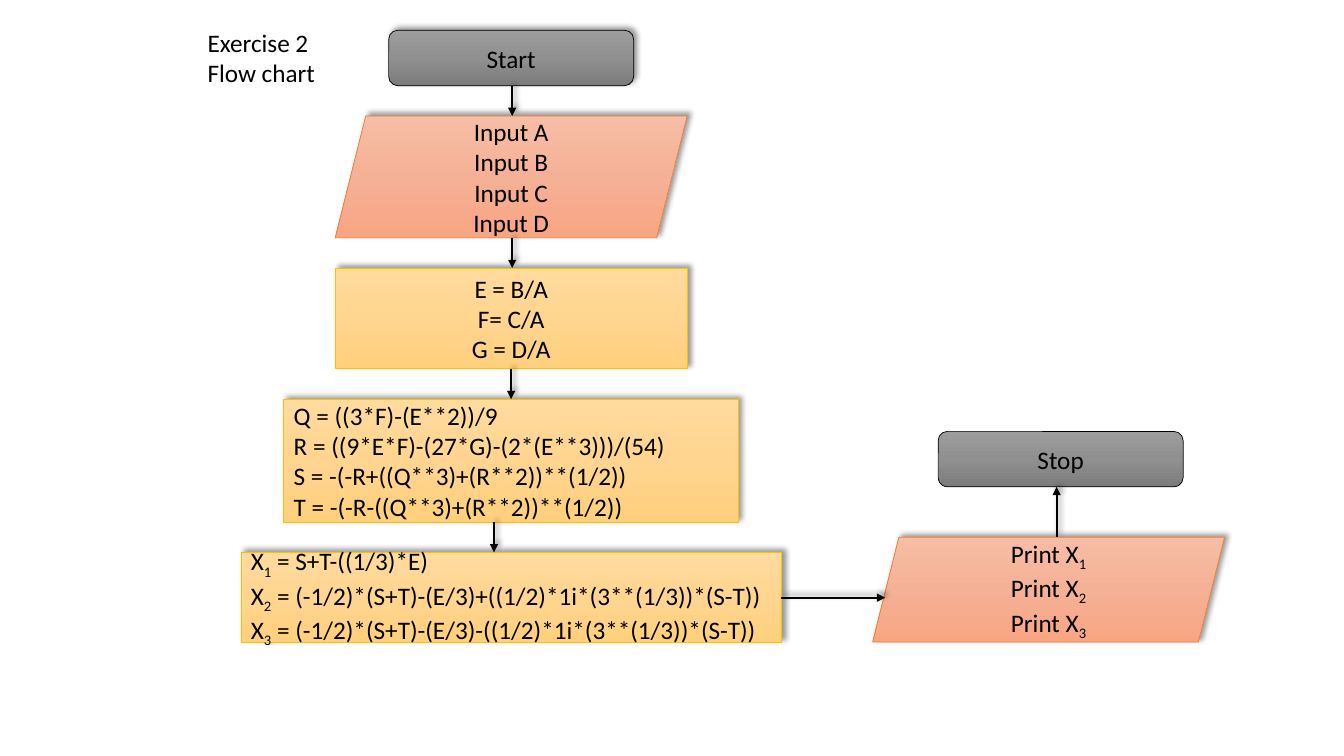
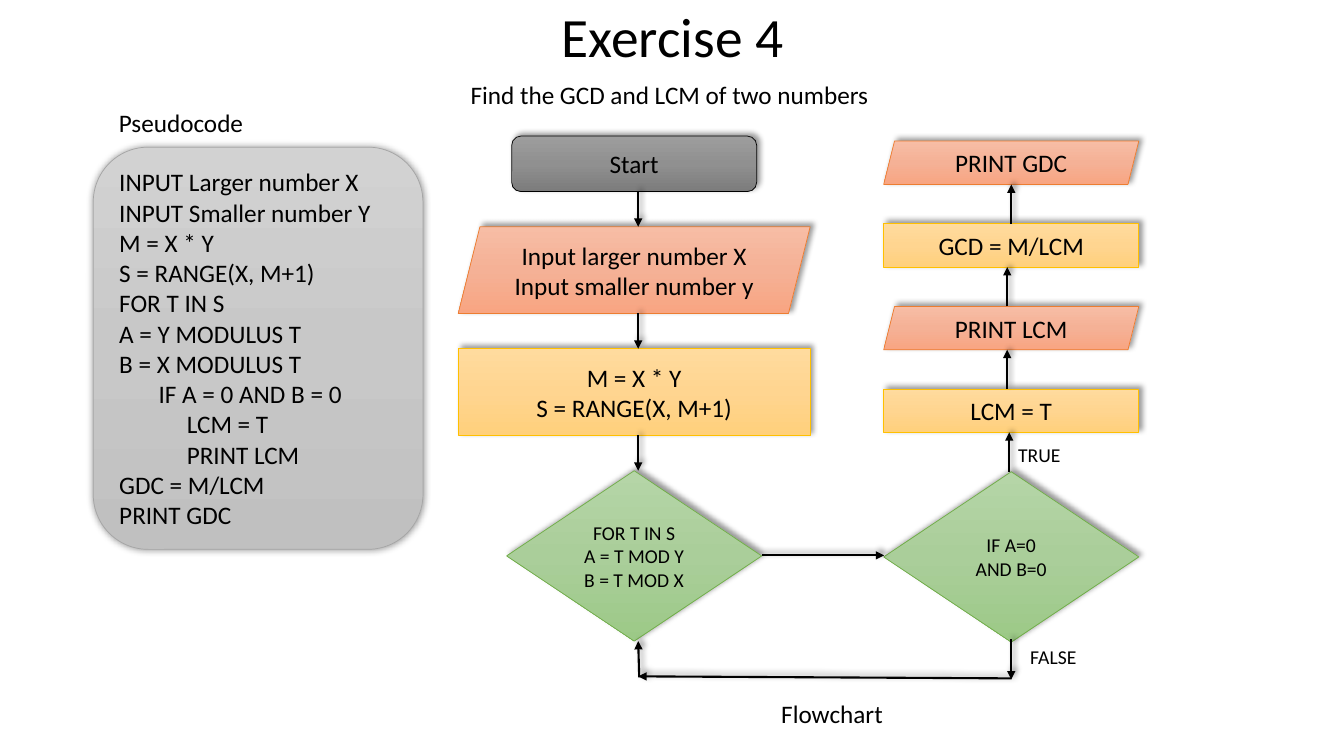
from copy import deepcopy

from lxml.etree import SubElement
from pptx import Presentation
from pptx.dml.color import RGBColor
from pptx.enum.shapes import MSO_CONNECTOR, MSO_SHAPE as Shape
from pptx.enum.text import MSO_ANCHOR, PP_ALIGN as Align
from pptx.oxml.ns import qn
from pptx.util import Inches, Pt

FONT, INK = "Calibri", "000000"
WIDTH, HEIGHT = 13.33, 7.5

# Palette: three gradient stops from top to bottom, then the outline.
GREY = ("9D9D9D", "909090", "7C7C7C", INK)
ORANGE = ("F7BDA5", "F5B196", "F8A582", "ED7D31")
GOLD = ("FFDB9E", "FFD590", "FFD07C", "FFC000")
GREEN = ("B5D5A7", "AACE9A", "9CC987", "70AD47")
SILVER = ("D2D2D2", "C8C8C8", "C0C0C0", "A5A5A5")

# Shadow: opacity in percent, blur and distance in points.
LIFT, HALO = (40, 4, 3), (40, 5, 0)

# Kind: preset shape, palette, text size, alignment, shadow.
KINDS = {
    "start": (Shape.ROUNDED_RECTANGLE, GREY, 18, Align.CENTER, LIFT),
    "stop": (Shape.ROUNDED_RECTANGLE, GREY, 18, Align.CENTER, None),
    "data": (Shape.PARALLELOGRAM, ORANGE, 18, Align.CENTER, LIFT),
    "process": (Shape.RECTANGLE, GOLD, 18, Align.CENTER, LIFT),
    "formula": (Shape.RECTANGLE, GOLD, 18, Align.LEFT, LIFT),
    "decision": (Shape.DIAMOND, GREEN, 14, Align.CENTER, LIFT),
    "code": (Shape.ROUNDED_RECTANGLE, SILVER, 18, Align.LEFT, HALO),
}

# An underscore lowers the next character; a leading tab indents one level.
# Node: kind, centre, width, height, lines. Nodes of a column stack by its gap.
# Label: left, top, width, height, size, alignment, lines.
CUBIC = {
    "labels": [(1.96, 0.22, 1.28, 0.71, 18, Align.LEFT, ["Exercise 2", "Flow chart"])],
    "columns": [
        {"top": 0.3, "gap": 0.3, "upward": False, "arrows": [5.08, 5.08, 5.07, 4.9],
         "nodes": [
            ("start", 5.07, 2.43, 0.55, ["Start"]),
            ("data", 5.07, 3.49, 1.21, ["Input A", "Input B", "Input C", "Input D"]),
            ("process", 5.07, 3.49, 1, ["E = B/A", "F= C/A", "G = D/A"]),
            ("formula", 5.07, 4.51, 1.22, [
                "Q = ((3*F)-(E**2))/9",
                "R = ((9*E*F)-(27*G)-(2*(E**3)))/(54)",
                "S = -(-R+((Q**3)+(R**2))**(1/2))",
                "T = -(-R-((Q**3)+(R**2))**(1/2))"]),
            ("formula", 5.07, 5.36, 0.89, [
                "X_1 = S+T-((1/3)*E)",
                "X_2 = (-1/2)*(S+T)-(E/3)+((1/2)*1i*(3**(1/3))*(S-T))",
                "X_3 = (-1/2)*(S+T)-(E/3)-((1/2)*1i*(3**(1/3))*(S-T))"])]},
        {"top": 4.28, "gap": 0.5, "upward": True, "arrows": [10.48],
         "nodes": [
            ("stop", 10.52, 2.43, 0.55, ["Stop"]),
            ("data", 10.4, 3.49, 1.04, ["Print X_1", "Print X_2", "Print X_3"])]},
    ],
    "links": [(7.75, 5.93, 8.78, 5.93)],
}
DIVISORS = {
    "labels": [
        (0.92, 0.03, 11.5, 0.72, 39.6, Align.CENTER, ["Exercise 4"]),
        (4.57, 0.74, 4.2, 0.4, 18, Align.LEFT, ["Find the GCD and LCM of two numbers"]),
        (1.08, 1.02, 1.45, 0.4, 18, Align.LEFT, ["Pseudocode"]),
        (10, 4.34, 0.63, 0.34, 14, Align.LEFT, ["TRUE"]),
        (10.12, 6.35, 0.66, 0.34, 14, Align.LEFT, ["FALSE"]),
        (7.65, 6.88, 1.22, 0.4, 18, Align.LEFT, ["Flowchart"]),
    ],
    "columns": [
        {"top": 1.46, "gap": 0, "upward": False, "arrows": [],
         "nodes": [("code", 2.56, 3.27, 3.99, [
            "INPUT Larger number X", "INPUT Smaller number Y", "M = X * Y",
            "S = RANGE(X, M+1)", "FOR T IN S", "A = Y MODULUS T", "B = X MODULUS T",
            "\tIF A = 0 AND B = 0", "\t\tLCM = T", "\t\tPRINT LCM",
            "GDC = M/LCM", "PRINT GDC"])]},
        {"top": 1.35, "gap": 0.35, "upward": False, "arrows": [6.33] * 3,
         "nodes": [
            ("start", 6.29, 2.43, 0.55, ["Start"]),
            ("data", 6.29, 3.49, 0.86, ["Input larger number X", "Input smaller number y"]),
            ("process", 6.29, 3.49, 0.86, ["M = X * Y", "S = RANGE(X, M+1)"]),
            ("decision", 6.29, 2.53, 1.69, ["FOR T IN S", "A = T MOD Y", "B = T MOD X"])]},
        {"top": 1.4, "gap": 0.39, "upward": True, "arrows": [10.03, 9.99, 9.99, 10.01],
         "nodes": [
            ("data", 10.03, 2.53, 0.43, ["PRINT GDC"]),
            ("process", 10.03, 2.53, 0.43, ["GCD = M/LCM"]),
            ("data", 10.03, 2.53, 0.43, ["PRINT LCM"]),
            ("process", 10.03, 2.53, 0.43, ["LCM = T"]),
            ("decision", 10.03, 2.53, 1.69, ["IF A=0", "AND B=0"])]},
    ],
    "links": [(7.56, 5.51, 8.77, 5.51), (10.03, 6.34, 10.03, 6.74),
              (10.03, 6.73, 6.33, 6.71), (6.34, 6.72, 6.33, 6.36)],
}
INDENTS = (0, 0.39, 0.67)


def color(value):
    """Turn a hex string into a colour."""
    return RGBColor.from_string(value)


def set_shadow(shape, shadow):
    """Cast a shadow to the upper right, or none at all."""
    properties = shape._element.spPr
    for old in properties.findall(qn("a:effectLst")):
        properties.remove(old)
    effects = SubElement(properties, qn("a:effectLst"))
    if shadow:
        opacity, blur, distance = shadow
        outer = SubElement(effects, qn("a:outerShdw"), blurRad=str(Pt(blur)),
                           dist=str(Pt(distance)), dir="18900000", rotWithShape="0")
        black = SubElement(outer, qn("a:srgbClr"), val=INK)
        SubElement(black, qn("a:alpha"), val=str(opacity * 1000))


def set_gradient(shape, colors):
    """Fill a shape from top to bottom with evenly spaced colours."""
    shape.fill.gradient()
    shape.fill.gradient_angle = 270
    stops = next(shape._element.spPr.iter(qn("a:gsLst")))
    stops.append(deepcopy(stops[0]))
    for index, (stop, value) in enumerate(zip(shape.fill.gradient_stops, colors)):
        stop.position = index / (len(colors) - 1)
        stop.color.rgb = color(value)


def add_run(paragraph, text, size, lowered=False):
    """Add a run of text, as a subscript when lowered."""
    run = paragraph.add_run()
    run.text = text
    for name, value in {"name": FONT, "size": Pt(size)}.items():
        setattr(run.font, name, value)
    run.font.color.rgb = color(INK)
    if lowered:
        run._r.get_or_add_rPr().set("baseline", "-25000")


def write(frame, lines, size, align):
    """Write one paragraph per line, with indents and subscripts."""
    for index, line in enumerate(lines):
        paragraph = frame.add_paragraph() if index else frame.paragraphs[0]
        paragraph.alignment = align
        text = line.lstrip("\t")
        indent = INDENTS[len(line) - len(text)]
        if indent:
            paragraph._p.get_or_add_pPr().set("marL", str(Inches(indent)))
        head, *tails = text.split("_")
        add_run(paragraph, head, size)
        for tail in tails:
            add_run(paragraph, tail[0], size, lowered=True)
            if tail[1:]:
                add_run(paragraph, tail[1:], size)


def add_label(slide, left, top, width, height, size, align, lines):
    """Add plain text; centred text is the title and is set tighter."""
    frame = slide.shapes.add_textbox(*map(Inches, (left, top, width, height))).text_frame
    title = align == Align.CENTER
    frame.word_wrap = title
    write(frame, lines, size, align)
    if title:
        frame.vertical_anchor = MSO_ANCHOR.MIDDLE
        frame.paragraphs[0].line_spacing = 0.9


def add_node(slide, top, kind, centre, width, height, lines):
    """Add one step of the flow chart."""
    preset, (*gradient, outline), size, align, shadow = KINDS[kind]
    box = map(Inches, (centre - width / 2, top, width, height))
    shape = slide.shapes.add_shape(preset, *box)
    set_gradient(shape, gradient)
    shape.line.color.rgb = color(outline)
    shape.line.width = Pt(0.5)
    set_shadow(shape, shadow)
    shape.text_frame.word_wrap = True
    shape.text_frame.vertical_anchor = MSO_ANCHOR.MIDDLE
    write(shape.text_frame, lines, size, align)


def add_arrow(slide, *ends):
    """Add a straight arrow from the first point to the second."""
    arrow = slide.shapes.add_connector(MSO_CONNECTOR.STRAIGHT, *map(Inches, ends))
    arrow.line.color.rgb = color(INK)
    arrow.line.width = Pt(1.5)
    SubElement(arrow.line._get_or_add_ln(), qn("a:tailEnd"), type="triangle")
    set_shadow(arrow, LIFT)


def add_column(slide, top, gap, upward, arrows, nodes):
    """Stack nodes with equal gaps and join neighbours by arrows."""
    gaps = []
    for node in nodes:
        add_node(slide, top, *node)
        bottom = top + node[3]
        top = bottom + gap
        gaps.append((bottom, top))
    for x, (upper, lower) in zip(arrows, gaps):
        start, end = (lower, upper) if upward else (upper, lower)
        add_arrow(slide, x, start, x, end)


def build():
    """Build and save the presentation."""
    presentation = Presentation()
    presentation.slide_width, presentation.slide_height = Inches(WIDTH), Inches(HEIGHT)
    for chart in (CUBIC, DIVISORS):
        slide = presentation.slides.add_slide(presentation.slide_layouts[6])
        for column in chart["columns"]:
            add_column(slide, **column)
        for link in chart["links"]:
            add_arrow(slide, *link)
        for label in chart["labels"]:
            add_label(slide, *label)
    presentation.save("out.pptx")


build()
